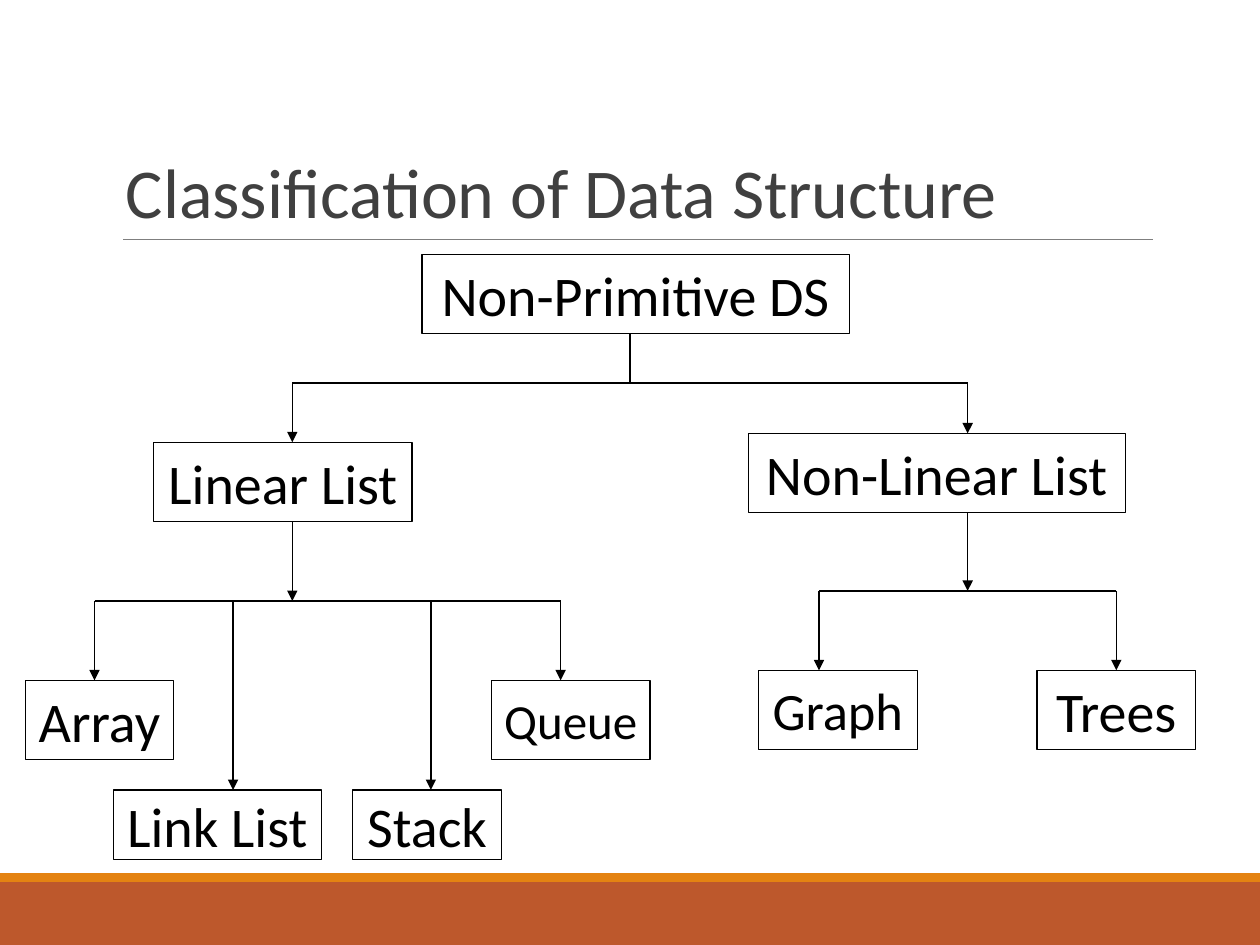
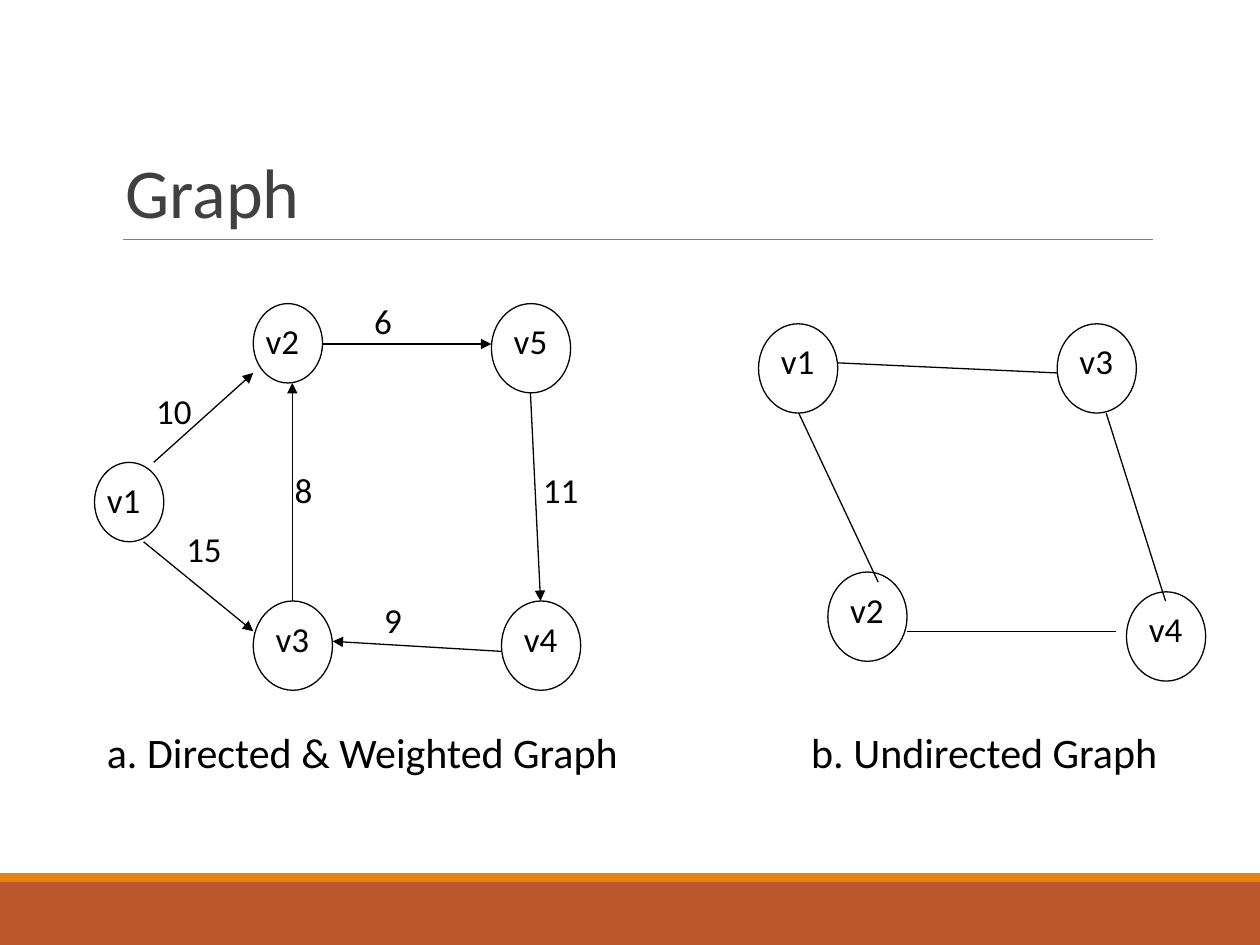
from typing import NamedTuple

import lxml.etree
import pptx
import pptx.dml.color
import pptx.enum.shapes
import pptx.enum.text
import pptx.oxml.ns
import pptx.shapes.autoshape
import pptx.slide
import pptx.text.text
import pptx.util

Pt = pptx.util.Pt
RGBColor = pptx.dml.color.RGBColor
Shape = pptx.enum.shapes.MSO_SHAPE
Anchor = pptx.enum.text.MSO_ANCHOR
Align = pptx.enum.text.PP_ALIGN
Slide = pptx.slide.Slide

BLACK = RGBColor(0x00, 0x00, 0x00)
WHITE = RGBColor(0xFF, 0xFF, 0xFF)
GREY = RGBColor(0x7F, 0x7F, 0x7F)
DARK = RGBColor(0x40, 0x40, 0x40)
RUST = RGBColor(0xBD, 0x58, 0x2C)
AMBER = RGBColor(0xE4, 0x83, 0x12)
FONT = "Calibri"
WIDTH, HEIGHT = 720, 540
PAD = 5.67


class Area(NamedTuple):
    left: float
    top: float
    width: float
    height: float


class Box(NamedTuple):
    text: str
    left: float
    top: float
    width: float
    height: float = 45.36
    size: float = 32


class Drop(NamedTuple):
    x: float
    end: float


class Branch(NamedTuple):
    x: float
    top: float
    bar: float
    drops: list[Drop]
    arrow: bool = True


class Node(NamedTuple):
    text: str
    left: float
    top: float
    small: bool = False


class Edge(NamedTuple):
    x1: float
    y1: float
    x2: float
    y2: float


class Label(NamedTuple):
    text: str
    left: float
    top: float


BOXES = [
    Box("Non-Primitive DS", 241.2, 145.44, 244.08),
    Box("Linear List", 87.84, 252.72, 147.6),
    Box("Non-Linear List", 427.68, 247.68, 215.28),
    Box("Array", 14.4, 388.8, 84.96),
    Box("Link List", 64.8, 451.44, 118.8, 39.6),
    Box("Stack", 201.6, 451.44, 84.96, 39.6),
    Box("Queue", 280.8, 388.8, 90.72, size=28),
    Box("Graph", 433.44, 383.04, 90.72, size=30),
    Box("Trees", 592.56, 383.04, 90.72),
]

BRANCHES = [
    Branch(360, 190.8, 218.88, [Drop(167.04, 252.72), Drop(552.96, 247.68)], False),
    Branch(167.04, 298.08, 343.44, [Drop(54, 388.8), Drop(133.2, 451.44),
                                    Drop(246.24, 451.44), Drop(320.4, 388.8)]),
    Branch(552.96, 292.6, 337.68, [Drop(468, 383.04), Drop(637.92, 383.04)]),
]

NODES = [
    Node("v2", 144.72, 173.52, True),
    Node("v1", 54, 264.24, True),
    Node("v5", 280.8, 173.52),
    Node("v3", 144.72, 343.44),
    Node("v4", 286.56, 343.44),
    Node("v1", 433.44, 185.04),
    Node("v2", 473.04, 326.88),
    Node("v4", 643.68, 338.2),
    Node("v3", 604.08, 185.04),
]

ARROWS = [
    Edge(87.84, 264.24, 144.72, 213.12),
    Edge(82.08, 309.6, 144.72, 360.72),
    Edge(167.04, 343.44, 167.04, 218.88),
    Edge(184.32, 196.56, 280.8, 196.56),
    Edge(303.12, 224.64, 308.88, 343.44),
    Edge(286.56, 372.24, 190.08, 366.48),
]

LINKS = [
    Edge(478.8, 207.36, 604.08, 213.12),
    Edge(518.4, 360.72, 637.92, 360.72),
    Edge(456.48, 236.16, 501.84, 332.64),
    Edge(632.16, 236.16, 666, 343.44),
]

WEIGHTS = [
    Label("10", 82.08, 218.88),
    Label("15", 99.36, 298.08),
    Label("8", 161.28, 264.24),
    Label("6", 206.64, 167.76),
    Label("11", 303.12, 264.24),
    Label("9", 212.4, 338.4),
]


def add_form(slide: Slide, kind: Shape, area: Area, fill: RGBColor,
             edge: RGBColor | None = None) -> pptx.shapes.autoshape.Shape:
    form = slide.shapes.add_shape(kind, *map(Pt, area))
    form.shadow.inherit = False
    form.fill.solid()
    form.fill.fore_color.rgb = fill
    if edge is None:
        form.line.fill.background()
    else:
        form.line.color.rgb = edge
        form.line.width = Pt(0.75)
    return form


def put_text(frame: pptx.text.text.TextFrame, text: str, size: float,
             color: RGBColor = BLACK) -> pptx.text.text._Paragraph:
    line = frame.paragraphs[0]
    line.text = text
    line.font.name = FONT
    line.font.size = Pt(size)
    line.font.color.rgb = color
    return line


def add_text(slide: Slide, text: str, area: Area, size: float,
             color: RGBColor = BLACK) -> pptx.text.text.TextFrame:
    frame = slide.shapes.add_textbox(*map(Pt, area)).text_frame
    frame.word_wrap = True
    put_text(frame, text, size, color)
    return frame


def add_line(slide: Slide, edge: Edge, arrow: bool = False,
             color: RGBColor = BLACK) -> None:
    kind = pptx.enum.shapes.MSO_CONNECTOR.STRAIGHT
    line = slide.shapes.add_connector(kind, *map(Pt, edge))
    line.line.color.rgb = color
    line.line.width = Pt(0.75)
    qn = pptx.oxml.ns.qn
    props = line._element.spPr
    if arrow:
        lxml.etree.SubElement(props.find(qn("a:ln")), qn("a:tailEnd"), type="triangle")
    lxml.etree.SubElement(props, qn("a:effectLst"))


def add_box(slide: Slide, box: Box) -> None:
    area = Area(box.left, box.top, box.width, box.height)
    frame = add_form(slide, Shape.RECTANGLE, area, WHITE, BLACK).text_frame
    frame.word_wrap = False
    frame.vertical_anchor = Anchor.MIDDLE
    put_text(frame, box.text, box.size).alignment = Align.CENTER


def add_branch(slide: Slide, branch: Branch) -> None:
    bar = branch.bar
    add_line(slide, Edge(branch.x, branch.top, branch.x, bar), branch.arrow)
    add_line(slide, Edge(branch.drops[0].x, bar, branch.drops[-1].x, bar))
    for drop in branch.drops:
        add_line(slide, Edge(drop.x, bar, drop.x, drop.end), True)


def add_label(slide: Slide, label: Label) -> None:
    add_text(slide, label.text, Area(label.left, label.top, 39.6, 31), 20)


def add_node(slide: Slide, node: Node) -> None:
    grow = 0 if node.small else PAD
    area = Area(node.left, node.top, 39.6 + grow, 45.36 + grow)
    add_form(slide, Shape.OVAL, area, WHITE, BLACK)
    add_label(slide, Label(node.text, node.left + grow, node.top + PAD))


def add_slide(deck: pptx.presentation.Presentation, title: str) -> Slide:
    slide = deck.slides.add_slide(deck.slide_layouts[6])
    add_form(slide, Shape.RECTANGLE, Area(0, 504, WIDTH, 36), RUST)
    add_form(slide, Shape.RECTANGLE, Area(0, 499, WIDTH, 5), AMBER)
    add_line(slide, Edge(70.56, 136.8, 658.8, 136.8), color=GREY)
    frame = add_text(slide, title, Area(64.8, 22.32, 594, 114.48), 40, DARK)
    frame.vertical_anchor = Anchor.BOTTOM
    frame.paragraphs[0].line_spacing = 0.85
    return slide


def draw_tree(slide: Slide) -> None:
    for box in BOXES:
        add_box(slide, box)
    for branch in BRANCHES:
        add_branch(slide, branch)


def draw_graphs(slide: Slide) -> None:
    for node in NODES:
        add_node(slide, node)
    for edge in ARROWS:
        add_line(slide, edge, True)
    for edge in LINKS:
        add_line(slide, edge)
    for label in WEIGHTS:
        add_label(slide, label)
    add_text(slide, "a. Directed & Weighted Graph", Area(54, 411.84, 323.28, 36), 24)
    add_text(slide, "b. Undirected Graph", Area(456.48, 411.84, 263.52, 36), 24)


def main() -> None:
    deck = pptx.Presentation()
    deck.slide_width, deck.slide_height = Pt(WIDTH), Pt(HEIGHT)
    draw_tree(add_slide(deck, "Classification of Data Structure"))
    draw_graphs(add_slide(deck, "Graph"))
    deck.save("out.pptx")


if __name__ == "__main__":
    main()
